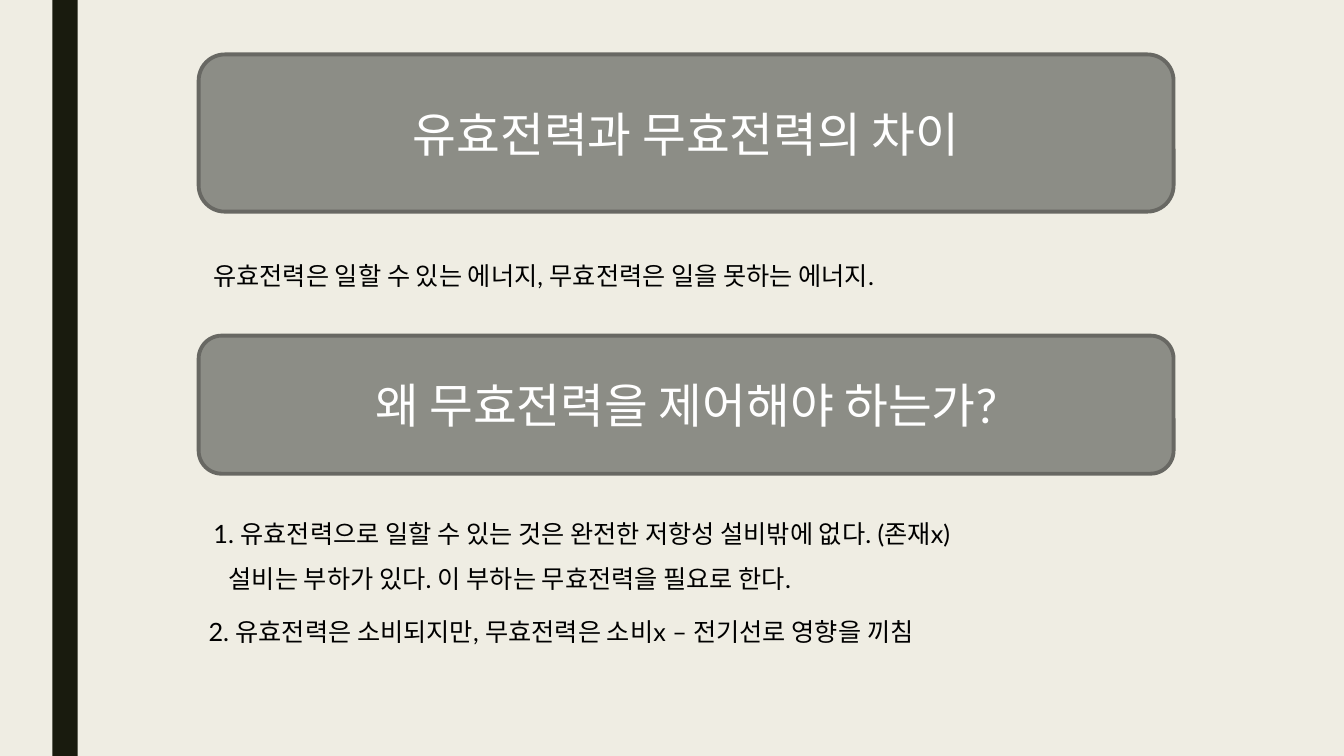
from pptx import Presentation
from pptx.dml.color import RGBColor
from pptx.enum.shapes import MSO_SHAPE
from pptx.enum.text import MSO_ANCHOR, PP_ALIGN
from pptx.util import Inches, Pt

RECTANGLE, ROUNDED = MSO_SHAPE.RECTANGLE, MSO_SHAPE.ROUNDED_RECTANGLE
TOP, MIDDLE = MSO_ANCHOR.TOP, MSO_ANCHOR.MIDDLE
LEFT, CENTER = PP_ALIGN.LEFT, PP_ALIGN.CENTER
WIDTH, HEIGHT = Inches(13.33), Inches(7.5)
TITLE_ONLY = 5
FONT = "Lato"
PAPER, DARK, GRAY, EDGE = "EFEDE3", "191B0E", "8C8D86", "686863"
WHITE, BLACK = "FFFFFF", "000000"

# Horizontal and vertical measures are percent of the slide's size
COLUMN_LEFT, COLUMN_WIDTH, LINE_HEIGHT = 14.78, 72.54, 5.33
TITLE_AREA = (COLUMN_LEFT, 7.2, COLUMN_WIDTH, 20.8)
QUESTION_AREA = (COLUMN_LEFT, 44.4, COLUMN_WIDTH, 18.27)
TITLE = "유효전력과 무효전력의 차이"
QUESTION = "왜 무효전력을 제어해야 하는가?"

# Text, indent from the column's left edge, top
BODY_LINES = [
    ("유효전력은 일할 수 있는 에너지, 무효전력은 일을 못하는 에너지.", 0.36, 33.73),
    ("1. 유효전력으로 일할 수 있는 것은 완전한 저항성 설비밖에 없다. (존재x)", 0.36, 67.87),
    ("설비는 부하가 있다. 이 부하는 무효전력을 필요로 한다.", 1.5, 73.87),
    ("2. 유효전력은 소비되지만, 무효전력은 소비x – 전기선로 영향을 끼침", 0, 80.93),
]


def color(value):
    return RGBColor.from_string(value)


def area(left, top, width, height):
    return (int(WIDTH * left / 100), int(HEIGHT * top / 100),
            int(WIDTH * width / 100), int(HEIGHT * height / 100))


def write(box, text, size=18, ink=BLACK, align=LEFT, anchor=TOP):
    frame = box.text_frame
    frame.word_wrap = True
    frame.vertical_anchor = anchor
    para = frame.paragraphs[0]
    para.alignment = align
    span = para.add_run()
    span.text = text
    span.font.name = FONT
    span.font.size = Pt(size)
    span.font.color.rgb = color(ink)


def write_heading(box, text):
    write(box, text, size=34, ink=WHITE, align=CENTER, anchor=MIDDLE)


def add_block(page, kind, place, fill, edge=None):
    block = page.shapes.add_shape(kind, *area(*place))
    block.shadow.inherit = False
    block.fill.solid()
    block.fill.fore_color.rgb = color(fill)
    if edge:
        block.line.color.rgb = color(edge)
        block.line.width = Pt(2.75)
    else:
        block.line.fill.background()
    return block


def add_banner(page, place):
    return add_block(page, ROUNDED, place, GRAY, EDGE)


def add_title(page, text, place):
    title = page.shapes.title
    title.left, title.top, title.width, title.height = area(*place)
    write_heading(title, text)
    # Bring the title in front of its banner
    page.shapes._spTree.append(title._element)


def add_line(page, text, indent, top):
    place = (COLUMN_LEFT + indent, top, COLUMN_WIDTH, LINE_HEIGHT)
    write(page.shapes.add_textbox(*area(*place)), text)


def main():
    deck = Presentation()
    deck.slide_width, deck.slide_height = WIDTH, HEIGHT
    page = deck.slides.add_slide(deck.slide_layouts[TITLE_ONLY])
    page.background.fill.solid()
    page.background.fill.fore_color.rgb = color(PAPER)

    # Side bar
    add_block(page, RECTANGLE, (3.9, 0, 1.88, 100), DARK)

    # Headings
    add_banner(page, TITLE_AREA)
    add_title(page, TITLE, TITLE_AREA)
    write_heading(add_banner(page, QUESTION_AREA), QUESTION)

    # Explanations
    for text, indent, top in BODY_LINES:
        add_line(page, text, indent, top)

    deck.save("out.pptx")


main()
